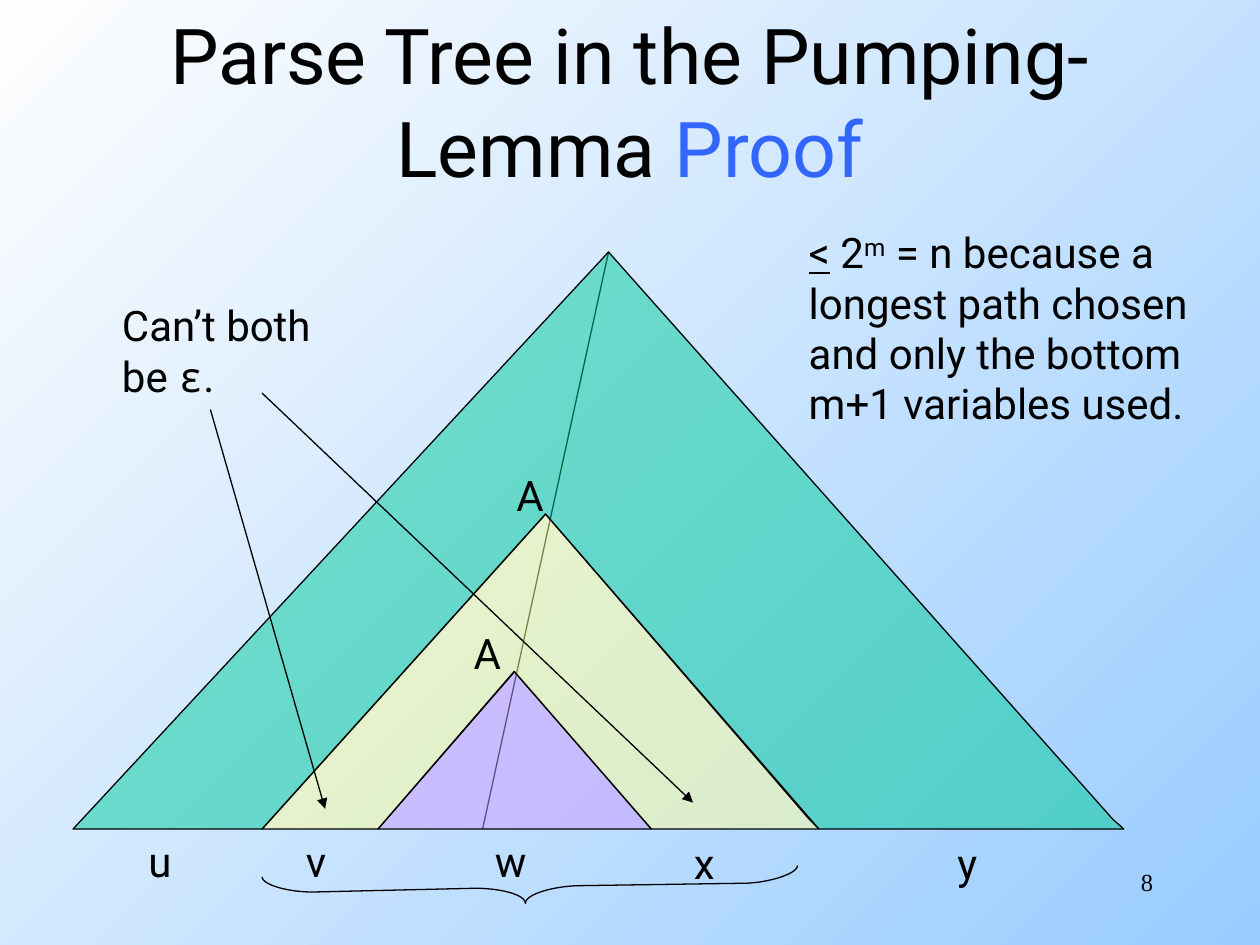
from lxml import etree
from pptx import Presentation
from pptx.dml.color import RGBColor
from pptx.enum import shapes, text
from pptx.oxml.ns import qn
from pptx.util import Inches, Pt

THEME = {
    "ink": "000000", "accent": "3366FF",
    "sky": ("99CCFF", "FEFEFE"),
    "outer": "00CC99", "middle": "FFFF99", "inner": "CC99FF",
    "font": "Roboto", "symbol": "Noto Sans Mono", "number": "Times New Roman",
    "title": 44, "body": 24, "small": 14, "line": 0.75, "opacity": 50,
}

# A paragraph is a list of spans: (words, format values that differ from the body)
TITLE = [("Parse Tree in the Pumping-Lemma ", {"size": THEME["title"]}),
         ("Proof", {"size": THEME["title"], "color": THEME["accent"]})]
BOUND_NOTE = [
    [("<", {"underline": True}), (" 2", {}), ("m", {"baseline": 30}), (" = n because a", {})],
    [("longest path chosen", {})],
    [("and only the bottom", {})],
    [("m+1 variables used.", {})],
]
EPSILON_NOTE = [
    [("Can’t both", {})],
    [("be ", {}), ("ε", {"font": THEME["symbol"]}), (".", {})],
]
LABELS = [  # letter, left, top, width
    ("A", 4, 3.68, 0.41), ("A", 3.66, 4.93, 0.41),
    ("u", 1.08, 6.58, 0.4), ("v", 2.33, 6.58, 0.37), ("y", 7.5, 6.6, 0.37),
    ("x", 5.41, 6.6, 0.37), ("w", 3.83, 6.58, 0.46),
]

BASE = 6.58
ROOT = (4.83, 2)
MIDDLE_TREE = [(2.08, BASE), (4.33, 4.08), (6.5, BASE)]
INNER_TREE = [(3, BASE), (4.08, 5.33), (5.17, BASE)]
BANDS = [  # each band surrounds the next smaller tree
    ("middle", [(2.08, BASE), (4.33, 4.08), (6.42, 6.5), (6.5, BASE)] + INNER_TREE[::-1]),
    ("outer", [(0.58, BASE), ROOT, (8.83, 6.5), (8.92, BASE)] + MIDDLE_TREE[::-1]),
]
ARROWS = [((1.67, 3.25), (2.58, 6.42)), ((2.08, 3.12), (5.5, 6.37))]
BRACE = [  # cubic curves, joined by straight lines
    [(2.08, 6.96), (2.08, 7.02), (2.28, 7.08), (2.48, 7.08)],
    [(3.77, 7.05), (3.97, 7.05), (4.17, 7.1), (4.17, 7.17)],
    [(4.17, 7.17), (4.17, 7.1), (4.37, 7.04), (4.57, 7.03)],
    [(5.93, 7.01), (6.13, 7), (6.33, 6.93), (6.33, 6.87)],
]


def rgb(value):
    return RGBColor.from_string(value)


def write(para, spans):
    for words, changes in spans:
        look = {"font": THEME["font"], "size": THEME["body"], "color": THEME["ink"], **changes}
        span = para.add_run()
        span.text = words
        values = {"name": look["font"], "size": Pt(look["size"]),
                  "underline": look.get("underline")}
        for name, value in values.items():
            setattr(span.font, name, value)
        span.font.color.rgb = rgb(look["color"])
        if "baseline" in look:
            span.font._element.set("baseline", str(look["baseline"] * 1000))


def add_text(page, paragraphs, left, top, width, height=0.5, wrap=False, align=None):
    box = page.shapes.add_textbox(*map(Inches, (left, top, width, height)))
    frame = box.text_frame
    frame.word_wrap = wrap
    for index, spans in enumerate(paragraphs):
        para = frame.add_paragraph() if index else frame.paragraphs[0]
        para.alignment = align
        write(para, spans)


def outline(shape):
    shape.line.color.rgb = rgb(THEME["ink"])
    shape.line.width = Pt(THEME["line"])


def add_line(page, start, end, arrow=False):
    line = page.shapes.add_connector(
        shapes.MSO_CONNECTOR.STRAIGHT, *map(Inches, start + end))
    outline(line)
    etree.SubElement(line._element.spPr, qn("a:effectLst"))
    if arrow:
        etree.SubElement(line.line._get_or_add_ln(), qn("a:tailEnd"), type="triangle")


def add_outline(page, points, close):
    points = [tuple(map(Inches, point)) for point in points]
    builder = page.shapes.build_freeform(*points[0])
    builder.add_line_segments(points[1:], close=close)
    return builder.convert_to_shape()


def finish(shape, color=None):
    """Outline a shape and fill it half transparent, or leave it open."""
    shape.shadow.inherit = False
    outline(shape)
    if color is None:
        shape.fill.background()
        return
    shape.fill.solid()
    shape.fill.fore_color.rgb = rgb(color)
    tint = shape._element.spPr.find(qn("a:solidFill"))[0]
    etree.SubElement(tint, qn("a:alpha"), val=str(THEME["opacity"] * 1000))


def trace(curve, steps=12):
    """Points along a cubic curve."""
    for step in range(steps + 1):
        t = step / steps
        weights = ((1 - t) ** 3, 3 * t * (1 - t) ** 2, 3 * t * t * (1 - t), t ** 3)
        yield tuple(sum(w * p[axis] for w, p in zip(weights, curve)) for axis in (0, 1))


def main():
    deck = Presentation()
    deck.slide_width, deck.slide_height = Inches(10), Inches(7.5)
    page = deck.slides.add_slide(deck.slide_layouts[5])

    sky = page.background.fill
    sky.gradient()
    sky.gradient_angle = 135
    for stop, color, position in zip(sky.gradient_stops, THEME["sky"], (0, 1)):
        stop.color.rgb = rgb(color)
        stop.position = position

    title = page.shapes.title
    place = {"left": 0.75, "top": 0.17, "width": 8.5, "height": 1.25}
    for name, value in place.items():
        setattr(title, name, Inches(value))
    title.text_frame.vertical_anchor = text.MSO_ANCHOR.MIDDLE
    title.text_frame.auto_size = text.MSO_AUTO_SIZE.NONE
    title.text_frame.paragraphs[0].alignment = text.PP_ALIGN.CENTER
    write(title.text_frame.paragraphs[0], TITLE)

    add_line(page, ROOT, (3.83, BASE))
    finish(add_outline(page, [point for curve in BRACE for point in trace(curve)], False))
    add_text(page, BOUND_NOTE, 6.32, 1.75, 3.39, 1.7)

    (left, _), (_, top), (right, _) = INNER_TREE
    inner = page.shapes.add_shape(
        shapes.MSO_SHAPE.ISOSCELES_TRIANGLE,
        *map(Inches, (left, top, right - left, BASE - top)))
    finish(inner, THEME["inner"])
    for name, points in BANDS:
        finish(add_outline(page, points, True), THEME[name])

    for letter, left, top, width in LABELS:
        add_text(page, [[(letter, {})]], left, top, width)
    add_text(page, EPSILON_NOTE, 0.87, 2.33, 1.8, 0.9)
    for start, end in ARROWS:
        add_line(page, start, end, arrow=True)

    number = [("8", {"font": THEME["number"], "size": THEME["small"]})]
    add_text(page, [number], 7.17, 6.83, 2.08, wrap=True, align=text.PP_ALIGN.RIGHT)
    deck.save("out.pptx")


if __name__ == "__main__":
    main()
